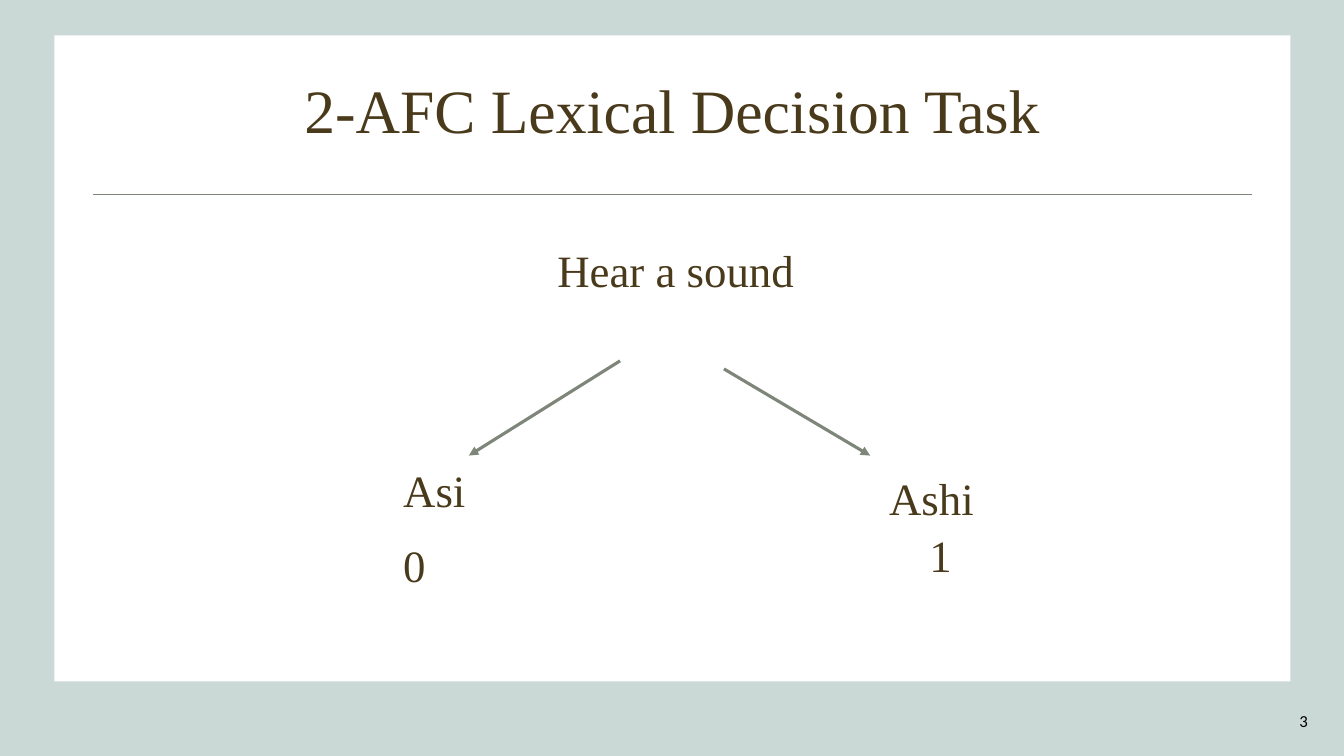
from dataclasses import dataclass

from lxml.etree import SubElement
from pptx import Presentation
from pptx.dml.color import RGBColor
from pptx.enum.shapes import MSO_CONNECTOR, MSO_SHAPE
from pptx.enum.text import MSO_ANCHOR, PP_ALIGN
from pptx.oxml.ns import qn
from pptx.util import Inches, Pt


@dataclass(frozen=True)
class Theme:
    background: str = "CAD8D6"
    panel: str = "FFFFFF"
    line: str = "7E8679"
    text: str = "4A3A1C"
    number: str = "000000"
    serif: str = "Times New Roman"
    sans: str = "Calibri"
    title_size: int = 44
    label_size: int = 32
    number_size: int = 12
    rule_width: float = 1
    arrow_width: float = 2.25


THEME = Theme()


def add_text(slide, box, text, size, font=THEME.serif, color=THEME.text,
             align=PP_ALIGN.LEFT, anchor=MSO_ANCHOR.BOTTOM, spacing=0.9):
    shape = slide.shapes.add_textbox(*map(Inches, box))
    frame = shape.text_frame
    frame.text = text
    frame.word_wrap = True
    frame.vertical_anchor = anchor
    paragraph = frame.paragraphs[0]
    paragraph.alignment = align
    paragraph.line_spacing = spacing
    run_font = paragraph.runs[0].font
    run_font.name = font
    run_font.size = Pt(size)
    run_font.color.rgb = RGBColor.from_string(color)


def add_line(slide, start, end, width, arrow=False):
    connector = slide.shapes.add_connector(
        MSO_CONNECTOR.STRAIGHT, *map(Inches, (*start, *end)))
    connector.line.color.rgb = RGBColor.from_string(THEME.line)
    connector.line.width = Pt(width)
    if arrow:
        SubElement(connector.line._get_or_add_ln(), qn("a:tailEnd"), type="triangle")
    SubElement(connector._element.spPr, qn("a:effectLst"))


def add_panel(slide, box):
    panel = slide.shapes.add_shape(MSO_SHAPE.RECTANGLE, *map(Inches, box))
    panel.shadow.inherit = False
    panel.fill.solid()
    panel.fill.fore_color.rgb = RGBColor.from_string(THEME.panel)
    panel.line.fill.background()


def add_header(slide, box, title):
    left, top, width, height = box
    add_text(slide, box, title, THEME.title_size,
             align=PP_ALIGN.CENTER, anchor=MSO_ANCHOR.MIDDLE)
    # Rule just below the title
    rule_top = top + height + 0.08
    add_line(slide, (left, rule_top), (left + width, rule_top), THEME.rule_width)


def add_decision_tree(slide, box):
    left, top, _, _ = box

    # Stimulus, the two responses and their codes, offset from the box
    labels = [
        ("Hear a sound", 1.53, 0, 2.66, 0.74),
        ("Asi", 0, 2.26, 0.92, 0.66),
        ("Ashi", 4.82, 2.26, 1.18, 0.74),
        ("0", 0, 3, 0.39, 0.66),
        ("1", 5.22, 2.91, 0.39, 0.66),
    ]
    for text, across, down, width, height in labels:
        add_text(slide, (left + across, top + down, width, height),
                 text, THEME.label_size)

    # Arrows from the stimulus to each response
    arrows = [((2.25, 1.32), (0.75, 2.26)), ((3.28, 1.4), (4.73, 2.26))]
    for start, end in arrows:
        add_line(slide, (left + start[0], top + start[1]),
                 (left + end[0], top + end[1]), THEME.arrow_width, arrow=True)


def add_slide_number(slide, box, number):
    add_text(slide, box, number, THEME.number_size, THEME.sans, THEME.number,
             PP_ALIGN.RIGHT, MSO_ANCHOR.MIDDLE, spacing=1.0)


def main():
    presentation = Presentation()
    presentation.slide_width = Inches(13.33)
    presentation.slide_height = Inches(7.5)
    slide = presentation.slides.add_slide(presentation.slide_layouts[6])
    slide.background.fill.solid()
    slide.background.fill.fore_color.rgb = RGBColor.from_string(THEME.background)

    add_panel(slide, (0.54, 0.35, 12.26, 6.41))
    add_header(slide, (0.92, 0.4, 11.5, 1.45), "2-AFC Lexical Decision Task")
    add_decision_tree(slide, (3.9, 2.26, 6, 3.66))
    add_slide_number(slide, (10.07, 6.95, 3, 0.4), "3")

    presentation.save("out.pptx")


if __name__ == "__main__":
    main()
